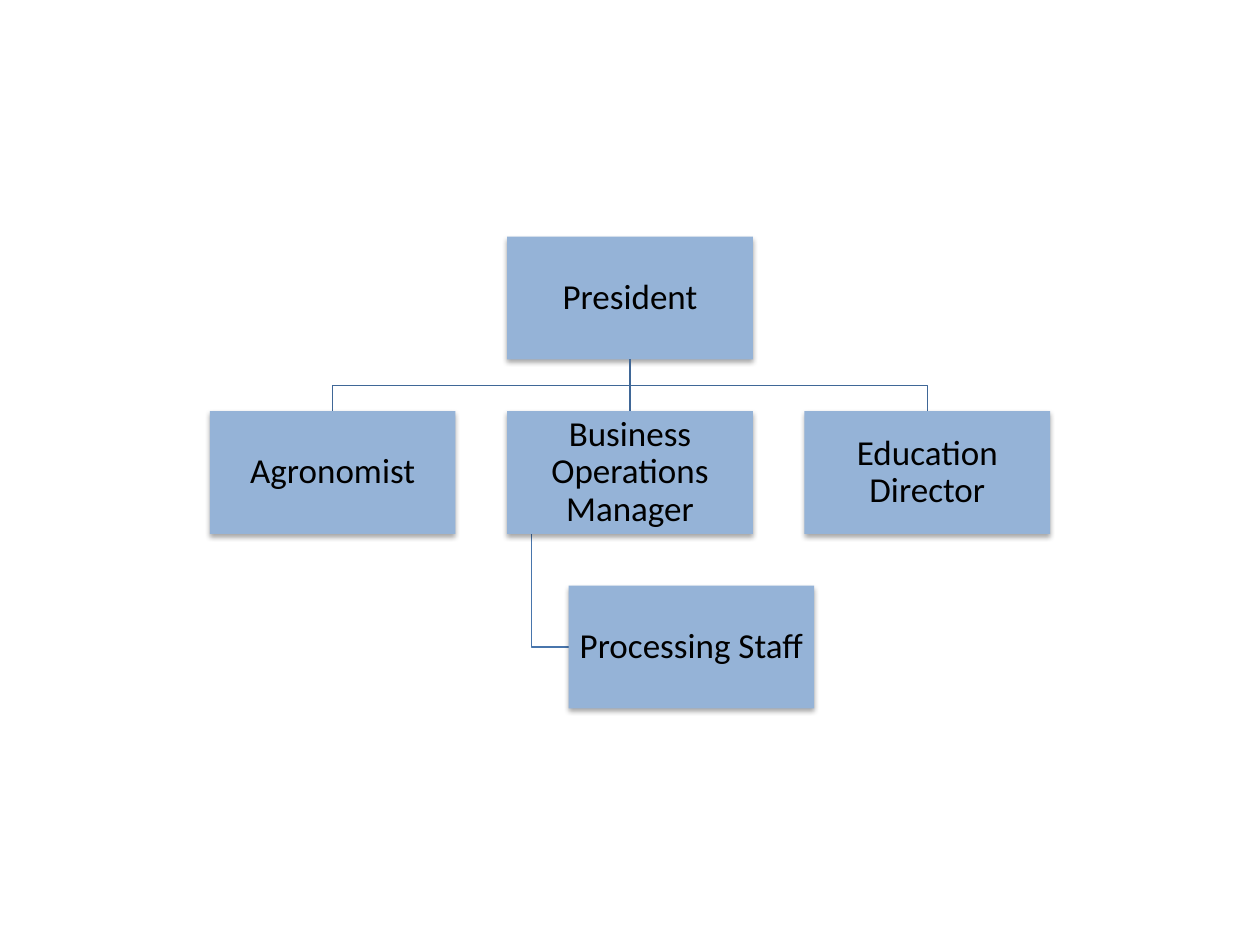
import pptx
import pptx.dml.color
import pptx.enum.shapes
import pptx.enum.text
import pptx.oxml
import pptx.util
from pptx.util import Pt

LEAD = "President"
REPORTS = ["Agronomist", "Business Operations Manager", "Education Director"]
STAFF = "Processing Staff"

SLIDE_WIDTH, SLIDE_HEIGHT = 720, 540
BOX_WIDTH, BOX_HEIGHT, GAP = 140.4, 70.2, 29.5
BOX_FILL, TEXT_COLOR = "95B3D7", "000000"
REPORT_LINE, STAFF_LINE = "3F6797", "4875AC"

SHADOW = """<a:effectLst xmlns:a="http://schemas.openxmlformats.org/drawingml/2006/main">
<a:outerShdw blurRad="39370" dist="22860" dir="5400000" rotWithShape="0">
<a:srgbClr val="000000"><a:alpha val="35000"/></a:srgbClr></a:outerShdw></a:effectLst>"""
NO_EFFECTS = '<a:effectLst xmlns:a="http://schemas.openxmlformats.org/drawingml/2006/main"/>'


def color(hex_value):
    return pptx.dml.color.RGBColor.from_string(hex_value)


def style_line(shape, hex_value):
    shape.line.color.rgb = color(hex_value)
    shape.line.width = Pt(0.75)


def add_box(slide, text, left, top):
    box = slide.shapes.add_shape(pptx.enum.shapes.MSO_SHAPE.RECTANGLE,
                                 Pt(left), Pt(top), Pt(BOX_WIDTH), Pt(BOX_HEIGHT))
    box.fill.solid()
    box.fill.fore_color.rgb = color(BOX_FILL)
    box.line.fill.background()
    box._element.spPr.append(pptx.oxml.parse_xml(SHADOW))
    frame = box.text_frame
    frame.word_wrap = True
    frame.vertical_anchor = pptx.enum.text.MSO_ANCHOR.MIDDLE
    frame.margin_left = frame.margin_right = Pt(1)
    frame.margin_top = frame.margin_bottom = Pt(1)
    frame.text = text
    paragraph = frame.paragraphs[0]
    paragraph.alignment = pptx.enum.text.PP_ALIGN.CENTER
    paragraph.line_spacing = 0.9
    paragraph.font.name = "Calibri"
    paragraph.font.size = Pt(20)
    paragraph.font.color.rgb = color(TEXT_COLOR)
    return box


def add_branch(slide, points, hex_value):
    """Draw an open, unfilled line through the points."""
    start, *rest = [(Pt(x), Pt(y)) for x, y in points]
    builder = slide.shapes.build_freeform(*start)
    builder.add_line_segments(rest, close=False)
    branch = builder.convert_to_shape()
    branch.fill.background()
    branch.shadow.inherit = False
    style_line(branch, hex_value)


def main():
    presentation = pptx.Presentation()
    presentation.slide_width = Pt(SLIDE_WIDTH)
    presentation.slide_height = Pt(SLIDE_HEIGHT)
    slide = presentation.slides.add_slide(presentation.slide_layouts[6])

    center = SLIDE_WIDTH / 2
    middle_left = center - BOX_WIDTH / 2
    chart_height = 3 * BOX_HEIGHT + 2 * GAP
    lead_top, report_top, staff_top = [
        (SLIDE_HEIGHT - chart_height) / 2 + row * (BOX_HEIGHT + GAP) for row in range(3)]
    lead_bottom = lead_top + BOX_HEIGHT
    branch_y = lead_bottom + GAP / 2
    staff_left = middle_left + BOX_WIDTH / 4
    trunk_x = middle_left + BOX_WIDTH / 10
    column_step = BOX_WIDTH + GAP

    for report_x in (center - column_step, center + column_step):
        add_branch(slide, [(center, lead_bottom), (center, branch_y),
                           (report_x, branch_y), (report_x, report_top)], REPORT_LINE)
    staff_y = staff_top + BOX_HEIGHT / 2
    add_branch(slide, [(trunk_x, report_top + BOX_HEIGHT), (trunk_x, staff_y),
                       (staff_left, staff_y)], STAFF_LINE)

    lead = add_box(slide, LEAD, middle_left, lead_top)
    reports = [add_box(slide, text, middle_left + (column - 1) * column_step, report_top)
               for column, text in enumerate(REPORTS)]
    add_box(slide, STAFF, staff_left, staff_top)

    connector = slide.shapes.add_connector(
        pptx.enum.shapes.MSO_CONNECTOR.STRAIGHT,
        Pt(center), Pt(lead_bottom), Pt(center), Pt(report_top))
    connector.begin_connect(lead, 2)
    connector.end_connect(reports[1], 0)
    style_line(connector, REPORT_LINE)
    connector._element.spPr.append(pptx.oxml.parse_xml(NO_EFFECTS))

    presentation.save("out.pptx")


if __name__ == "__main__":
    main()
